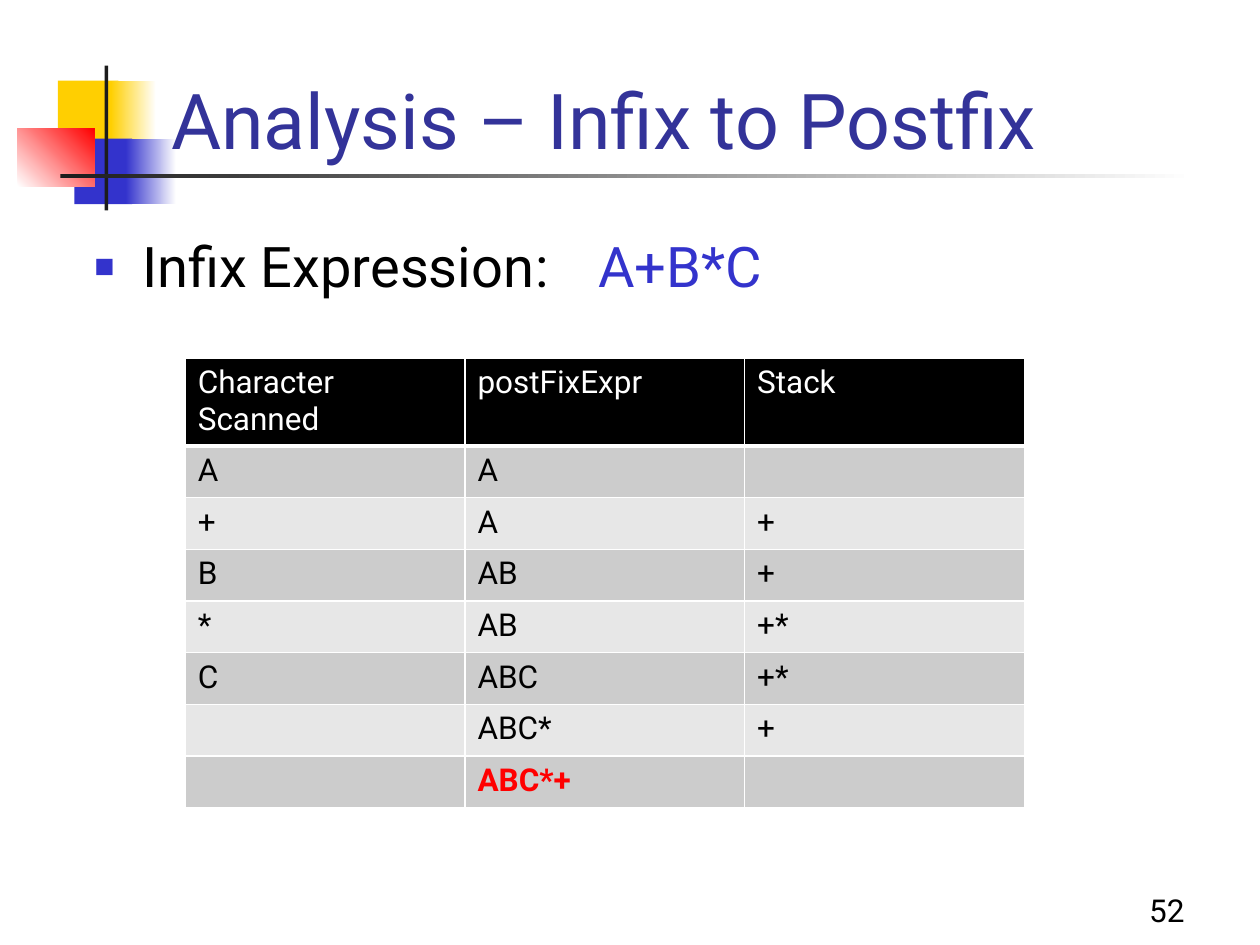
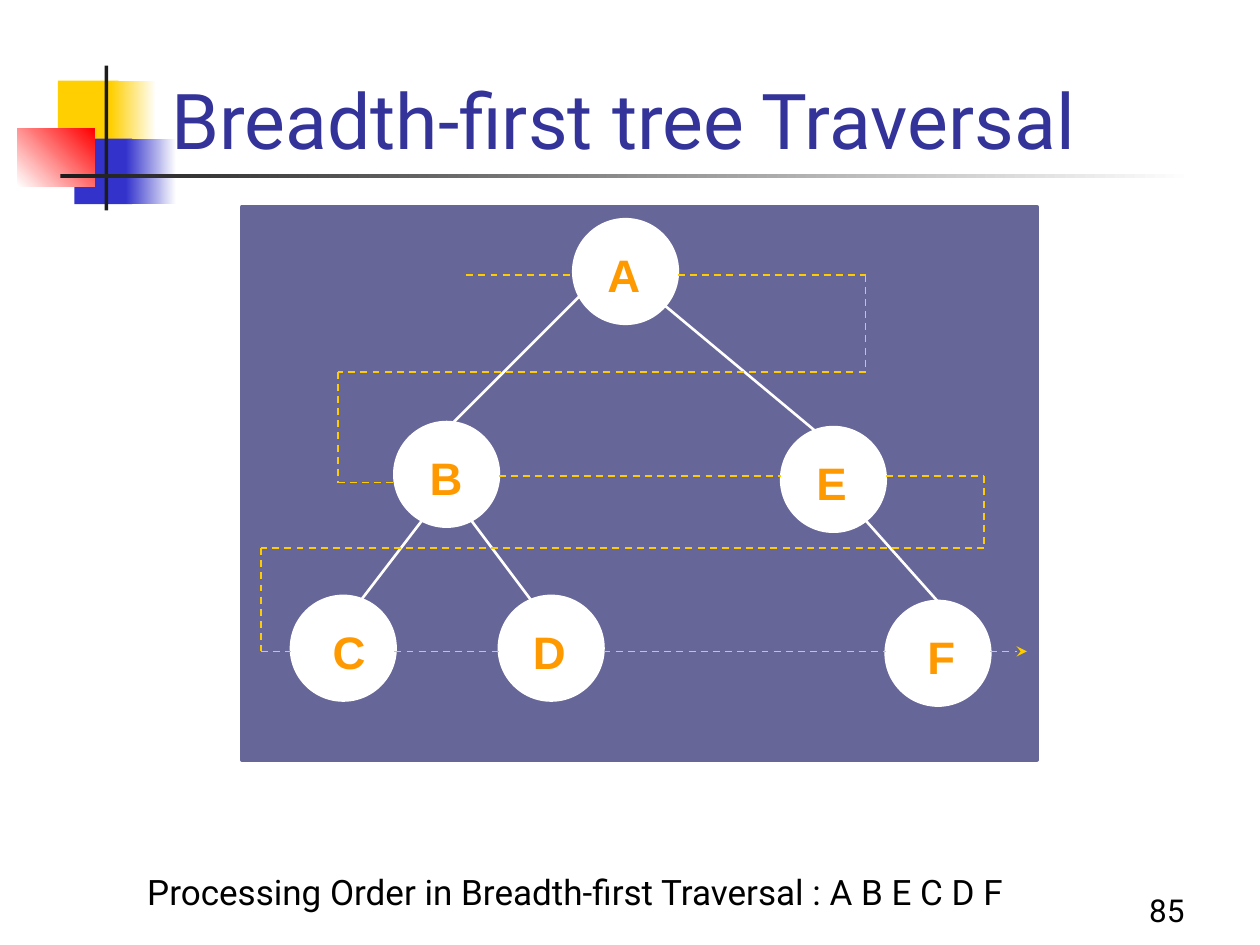
from itertools import pairwise

from lxml import etree
from pptx import Presentation
from pptx.dml.color import RGBColor
from pptx.enum.dml import MSO_LINE
from pptx.enum.shapes import MSO_CONNECTOR, MSO_SHAPE as SHAPE
from pptx.enum.text import MSO_ANCHOR as ANCHOR, PP_ALIGN as ALIGN
from pptx.oxml import parse_xml
from pptx.oxml.ns import nsdecls, qn
from pptx.util import Inches, Pt

# Shared look
FONT = "Roboto"
BLACK, WHITE, INK = "000000", "FFFFFF", "1C1C1C"
YELLOW, BLUE, RED = "FFCF01", "3333CC", "FF0000"
TITLE_COLOR = "333399"
# left, top, width, height, colour stops, gradient angle
EMBLEM = [
    (0.46, 0.64, 0.48, 0.52, [YELLOW], 0),
    (0.88, 0.64, 0.36, 0.52, [YELLOW, WHITE], 0),
    (0.59, 1.1, 0.46, 0.52, [BLUE], 0),
    (1, 1.1, 0.4, 0.52, [BLUE, WHITE], 0),
    (0.14, 1.02, 0.61, 0.46, [WHITE, RED], 45),
    (0.83, 0.52, 0.03, 1.15, [INK], 0),
    (0.48, 1.38, 9, 0.03, [INK, WHITE], 0),
]

# Infix to postfix
STEPS = [
    ("Character Scanned", "postFixExpr", "Stack"),
    ("A", "A", ""),
    ("+", "A", "+"),
    ("B", "AB", "+"),
    ("*", "AB", "+*"),
    ("C", "ABC", "+*"),
    ("", "ABC*", "+"),
    ("", "ABC*+", ""),
]
ANSWER = "ABC*+"
ROW_FILLS = ["E7E7E7", "CCCCCC"]

# Breadth-first tree
PANEL, LETTER, ROUTE = "666699", "FF9900", "FFCC00"
NODE_SIZE = 0.83
# letter: left, top, offset of the letter, alignment
NODES = {
    "A": (4.55, 1.74, 0.05, ALIGN.LEFT),
    "B": (3.13, 3.35, 0.06, ALIGN.LEFT),
    "E": (6.2, 3.39, 0.06, ALIGN.CENTER),
    "C": (2.31, 4.73, 0.11, ALIGN.LEFT),
    "D": (3.96, 4.73, 0.05, ALIGN.LEFT),
    "F": (7.03, 4.77, 0.11, ALIGN.LEFT),
}
BRANCHES = [
    ((4.6, 2.35), (3.6, 3.35)),
    ((5.27, 2.42), (6.47, 3.42)),
    ((3.35, 4.13), (2.86, 4.77)),
    ((3.74, 4.13), (4.22, 4.77)),
    ((6.87, 4.13), (7.44, 4.77)),
]
# Visiting route, broken where it passes behind a node
VISITS = [
    [(3.7, 2.18), (4.55, 2.18)],
    [(5.38, 2.18), (6.87, 2.18), (6.87, 2.95), (2.68, 2.95), (2.68, 3.83), (3.13, 3.83)],
    [(3.96, 3.78), (6.2, 3.78)],
    [(7.03, 3.78), (7.81, 3.78), (7.81, 4.35), (2.07, 4.35), (2.07, 5.17), (2.31, 5.17)],
    [(3.13, 5.17), (3.96, 5.17)],
    [(4.79, 5.17), (7.03, 5.17)],
    [(7.86, 5.17), (8.15, 5.17)],
]


def rgb(color):
    return RGBColor.from_string(color)


def style(font, size, color, bold=False, name=FONT):
    font.name, font.size, font.bold = name, Pt(size), bold
    font.color.rgb = rgb(color)


def add_block(slide, kind, box, stops, angle=0, line_width=0):
    block = slide.shapes.add_shape(kind, *map(Inches, box))
    block.shadow.inherit = False
    if len(stops) == 1:
        block.fill.solid()
        block.fill.fore_color.rgb = rgb(stops[0])
    else:
        block.fill.gradient()
        block.fill.gradient_angle = angle
        for stop, color in zip(block.fill.gradient_stops, stops):
            stop.color.rgb = rgb(color)
    if line_width:
        block.line.color.rgb = rgb(stops[0])
        block.line.width = Pt(line_width)
    else:
        block.line.fill.background()


def add_text(slide, box, text, size, color, anchor=ANCHOR.TOP, align=ALIGN.LEFT,
             bold=False, name=FONT, insets=(0.1, 0.05)):
    frame = slide.shapes.add_textbox(*map(Inches, box)).text_frame
    frame.word_wrap = True
    frame.vertical_anchor = anchor
    frame.margin_left = frame.margin_right = Inches(insets[0])
    frame.margin_top = frame.margin_bottom = Inches(insets[1])
    paragraph = frame.paragraphs[0]
    paragraph.text, paragraph.alignment = text, align
    style(paragraph.font, size, color, bold, name)
    return paragraph


def add_line(slide, start, end, color, width):
    line = slide.shapes.add_connector(MSO_CONNECTOR.STRAIGHT, *map(Inches, start + end))
    line.line.color.rgb = rgb(color)
    line.line.width = Pt(width)
    etree.SubElement(line._element.spPr, qn("a:effectLst"))
    return line


def add_base(prs, title, number):
    slide = prs.slides.add_slide(prs.slide_layouts[6])
    for *box, stops, angle in EMBLEM:
        add_block(slide, SHAPE.RECTANGLE, box, stops, angle)
    add_text(slide, (1.26, 0.11, 8.52, 1.25), title, 44, TITLE_COLOR, ANCHOR.BOTTOM)
    add_text(slide, (7.42, 6.92, 2.08, 0.5), number, 18, BLACK, ANCHOR.BOTTOM, ALIGN.RIGHT)
    return slide


def add_bullet(paragraph):
    props = paragraph._p.get_or_add_pPr()
    props.set("marL", str(Inches(0.38)))
    props.set("indent", str(-Inches(0.38)))
    bullet = (f'<a:buClr {{ns}}><a:srgbClr val="{BLUE}"/></a:buClr>',
              '<a:buSzPct {ns} val="60000"/>',
              '<a:buFont {ns} typeface="Arial"/>',
              '<a:buChar {ns} char="■"/>')
    before_fonts = props.find(qn("a:defRPr"))
    for xml in bullet:
        part = parse_xml(xml.format(ns=nsdecls("a")))
        if before_fonts is None:
            props.append(part)
        else:
            before_fonts.addprevious(part)


def add_borders(cell, bottom):
    props = cell._tc.get_or_add_tcPr()
    sides = {"lnL": 1, "lnR": 1, "lnT": 1, "lnB": bottom}
    for index, (side, width) in enumerate(sides.items()):
        props.insert(index, parse_xml(
            f'<a:{side} {nsdecls("a")} w="{Pt(width)}"><a:solidFill>'
            f'<a:srgbClr val="{WHITE}"/></a:solidFill></a:{side}>'))


def build_postfix(prs):
    slide = add_base(prs, "Analysis – Infix to Postfix", "52")

    # Expression
    expression = add_text(slide, (0.65, 1.79, 9.14, 4.91), "Infix Expression\t:\t", 32, BLACK)
    expression.space_before = Pt(6.4)
    add_bullet(expression)
    infix = expression.add_run()
    infix.text = "A+B*C"
    infix.font.color.rgb = rgb(BLUE)

    # Steps of the conversion
    width, row_height = 2.22, 0.41
    box = (1.47, 2.84, width * len(STEPS[0]), row_height * len(STEPS))
    table = slide.shapes.add_table(len(STEPS), len(STEPS[0]), *map(Inches, box)).table
    for column in table.columns:
        column.width = Inches(width)
    for r, step in enumerate(STEPS):
        header = r == 0
        for c, text in enumerate(step):
            cell = table.cell(r, c)
            cell.text = text
            cell.fill.solid()
            cell.fill.fore_color.rgb = rgb(BLACK if header else ROW_FILLS[r % 2])
            color = WHITE if header else RED if text == ANSWER else BLACK
            style(cell.text_frame.paragraphs[0].font, 18, color, text == ANSWER)
            add_borders(cell, 3 if header else 1)


def build_traversal(prs):
    slide = add_base(prs, "Breadth-first tree Traversal", "85")
    order = add_text(slide, (1.07, 6.86, 7.32, 0.44),
                     "Processing Order in Breadth-first Traversal : " + " ".join("ABECDF"),
                     20, BLACK)
    order.space_before = Pt(10)

    # Tree
    add_block(slide, SHAPE.RECTANGLE, (1.92, 1.64, 6.31, 4.39), [PANEL], line_width=2.25)
    for left, top, *_ in NODES.values():
        add_block(slide, SHAPE.FLOWCHART_CONNECTOR, (left, top, NODE_SIZE, NODE_SIZE),
                  [WHITE], line_width=1.5)
    for start, end in BRANCHES:
        add_line(slide, start, end, WHITE, 1.5)
    for letter, (left, top, offset, align) in NODES.items():
        add_text(slide, (left + offset, top + 0.11, 0.66, 0.61), letter, 26, LETTER,
                 align=align, bold=True, name="Arial", insets=(0.22, 0.11))

    # Visiting route, with an arrowhead on its last leg
    for visit in VISITS:
        for start, end in pairwise(visit):
            leg = add_line(slide, start, end, ROUTE, 1)
            leg.line.dash_style = MSO_LINE.DASH
    etree.SubElement(leg.line._get_or_add_ln(), qn("a:tailEnd"), type="stealth")


def main():
    prs = Presentation()
    prs.slide_width, prs.slide_height = Inches(10), Inches(7.5)
    build_postfix(prs)
    build_traversal(prs)
    prs.save("out.pptx")


if __name__ == "__main__":
    main()
